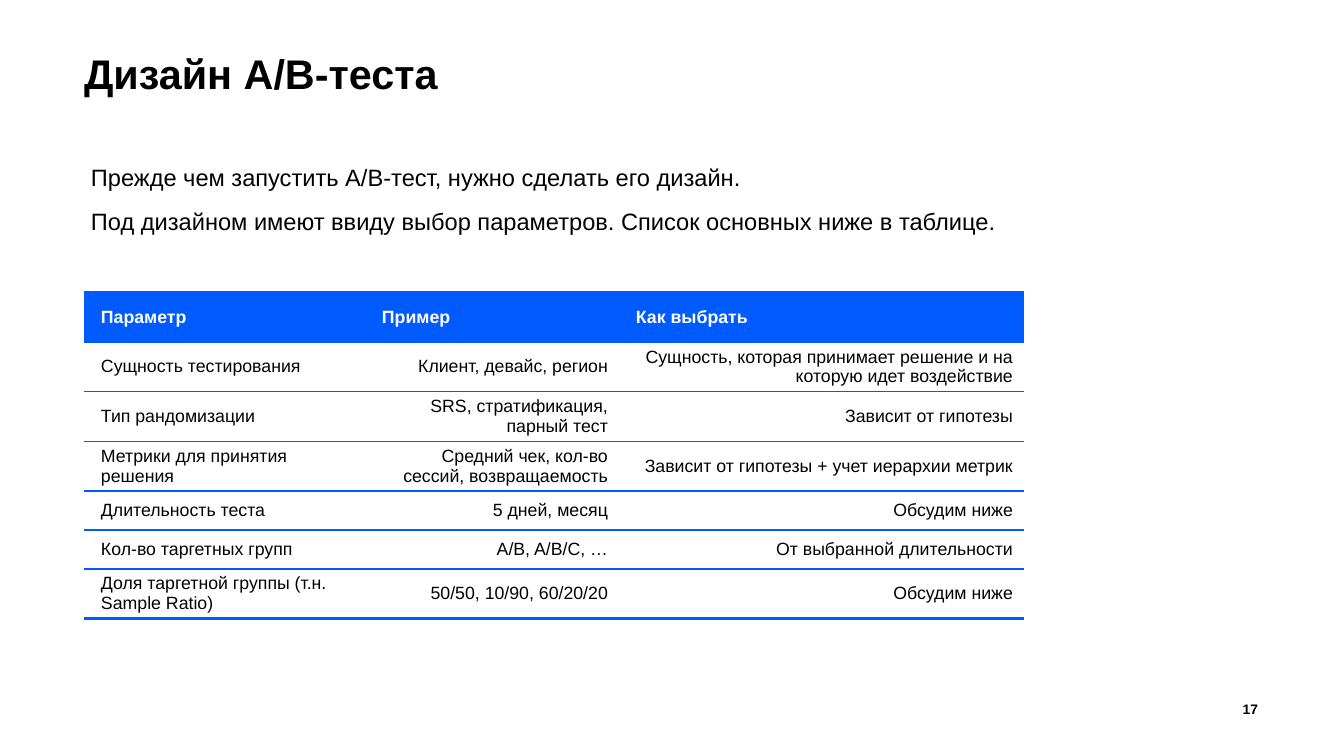
from lxml.etree import SubElement
from pptx import Presentation
from pptx.dml.color import RGBColor
from pptx.enum.text import MSO_ANCHOR, MSO_AUTO_SIZE, PP_ALIGN
from pptx.oxml.ns import qn
from pptx.util import Pt

PX = 12900  # EMU in one px
BLUE, BLACK, WHITE = "005BFF", "000000", "FFFFFF"


def style(paragraph, size, color=BLACK, bold=False, align=PP_ALIGN.LEFT):
    paragraph.alignment = align
    font = paragraph.font
    font.name, font.size, font.bold = "Arial", Pt(size), bold
    font.color.rgb = RGBColor.from_string(color)


def set_border(cell, side, color=None, width=0):
    line = SubElement(cell._tc.get_or_add_tcPr(), qn(f"a:{side}"), w=str(Pt(width)))
    if color:
        SubElement(SubElement(line, qn("a:solidFill")), qn("a:srgbClr"), val=color)
    else:
        SubElement(line, qn("a:noFill"))


presentation = Presentation()
presentation.slide_width, presentation.slide_height = 1344 * PX, 756 * PX
slide = presentation.slides.add_slide(presentation.slide_layouts[5])

# Title
title = slide.shapes.title
title.left, title.top, title.width, title.height = 84 * PX, 45 * PX, 1177 * PX, 88 * PX
heading = title.text_frame
heading.text = "Дизайн А/В-теста"
heading.auto_size = MSO_AUTO_SIZE.NONE
heading.vertical_anchor = MSO_ANCHOR.TOP
heading.margin_left = heading.margin_right = heading.margin_bottom = 0
heading.margin_top = 9 * PX
heading.paragraphs[0].line_spacing = 0.9
style(heading.paragraphs[0], 42, bold=True)

# Introduction
intro = slide.shapes.add_textbox(84 * PX, 159 * PX, 1125 * PX, 100 * PX).text_frame
intro.word_wrap = True
intro.text = (
    "Прежде чем запустить А/В-тест, нужно сделать его дизайн.\n"
    "Под дизайном имеют ввиду выбор параметров. Список основных ниже в таблице."
)
for sentence in intro.paragraphs:
    style(sentence, 24)
    sentence.space_after = Pt(8)
intro.paragraphs[1].space_before = Pt(8)

# Table of test parameters
parameters = [
    ("Параметр", "Пример", "Как выбрать"),
    ("Сущность тестирования", "Клиент, девайс, регион",
     "Сущность, которая принимает решение и на которую идет воздействие"),
    ("Тип рандомизации", "SRS, стратификация, парный тест", "Зависит от гипотезы"),
    ("Метрики для принятия решения", "Средний чек, кол-во сессий, возвращаемость",
     "Зависит от гипотезы + учет иерархии метрик"),
    ("Длительность теста", "5 дней, месяц", "Обсудим ниже"),
    ("Кол-во таргетных групп", "A/B, A/B/C, …", "От выбранной длительности"),
    ("Доля таргетной группы (т.н. Sample Ratio)", "50/50, 10/90, 60/20/20", "Обсудим ниже"),
]
last_row = len(parameters) - 1
table = slide.shapes.add_table(
    len(parameters), 3, 84 * PX, 292 * PX, 940 * PX, 284 * PX
).table
table.horz_banding = False
for column, width in zip(table.columns, (281, 254, 405)):
    column.width = width * PX

for row_index, entries in enumerate(parameters):
    is_header = row_index == 0
    table.rows[row_index].height = (50 if is_header else 39) * PX
    for column_index, entry in enumerate(entries):
        cell = table.cell(row_index, column_index)
        cell.text = entry
        cell.vertical_anchor = MSO_ANCHOR.MIDDLE
        cell.margin_left = 17 * PX
        cell.margin_right = (28 if column_index == 0 else 11) * PX
        cell.margin_top = cell.margin_bottom = Pt(3.6)
        set_border(cell, "lnL")
        set_border(cell, "lnR")
        set_border(cell, "lnT", BLUE, 1.5)
        set_border(cell, "lnB", BLUE, 3 if row_index == last_row else 1.5)
        cell.fill.solid()
        cell.fill.fore_color.rgb = RGBColor.from_string(BLUE if is_header else WHITE)
        align = PP_ALIGN.LEFT if is_header or column_index == 0 else PP_ALIGN.RIGHT
        style(cell.text_frame.paragraphs[0], 18, WHITE if is_header else BLACK,
              is_header, align)

# Slide number
page_number = slide.shapes.add_textbox(1190 * PX, 695 * PX, 71 * PX, 26 * PX).text_frame
page_number.word_wrap = True
page_number.text = "17"
page_number.vertical_anchor = MSO_ANCHOR.BOTTOM
page_number.margin_left = page_number.margin_right = 3 * PX
page_number.margin_top, page_number.margin_bottom = 0, 4 * PX
style(page_number.paragraphs[0], 14, bold=True, align=PP_ALIGN.RIGHT)

presentation.save("out.pptx")
